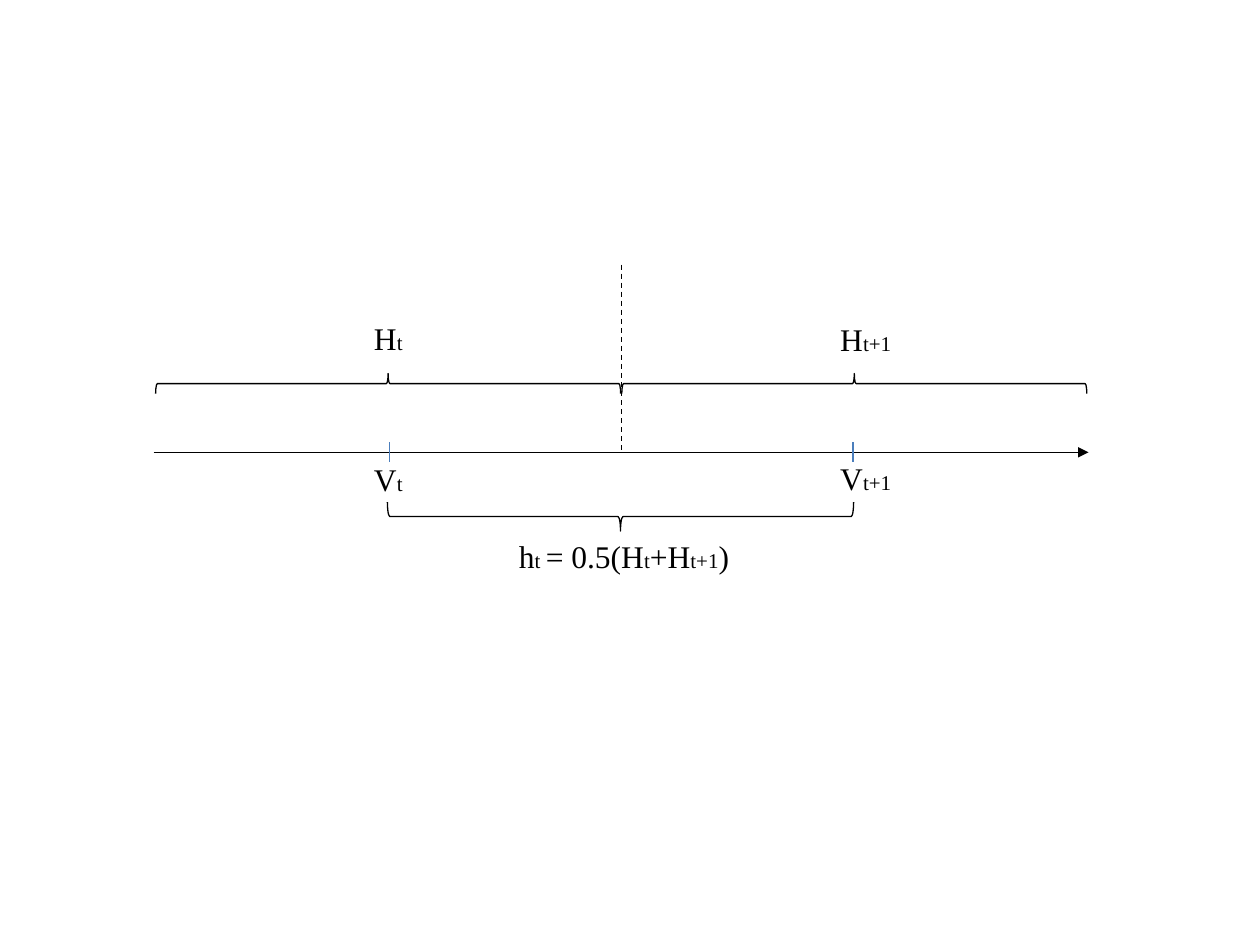
from typing import NamedTuple

from lxml.etree import SubElement
from pptx import Presentation
from pptx.dml.color import RGBColor
from pptx.enum.dml import MSO_LINE_DASH_STYLE as Dash
from pptx.enum.shapes import MSO_CONNECTOR as Connector, MSO_SHAPE as Shape
from pptx.enum.text import MSO_AUTO_SIZE as AutoSize
from pptx.oxml.ns import qn
from pptx.util import Inches, Pt

COLORS = {"ink": "000000", "tick": "4B7EBC"}
FONT = "Times New Roman"
LARGE, SMALL = 18, 12
AXIS_Y = 3.59
TICK_HALF = 0.08


class Line(NamedTuple):
    x1: float
    y1: float
    x2: float
    y2: float
    color: str = "ink"
    dashed: bool = False
    arrow: bool = False


class Brace(NamedTuple):
    left: float
    top: float
    width: float
    height: float
    rotation: int


class Label(NamedTuple):
    left: float
    top: float
    width: float
    texts: tuple[str, ...]


LINES = [
    Line(1.22, AXIS_Y, 8.64, AXIS_Y, arrow=True),
    Line(4.93, 2.1, 4.93, AXIS_Y, dashed=True),
    *(Line(x, AXIS_Y - TICK_HALF, x, AXIS_Y + TICK_HALF, "tick") for x in (3.09, 6.77)),
]
BRACES = [
    Brace(3, 1.2, 0.16, 3.69, 90),
    Brace(6.7, 1.2, 0.16, 3.69, 90),
    Brace(4.81, 2.25, 0.23, 3.7, 270),
]
LABELS = [
    Label(2.87, 2.48, 0.43, ("H", "t")),
    Label(6.57, 2.49, 0.61, ("H", "t+1")),
    Label(6.57, 3.59, 0.61, ("V", "t+1")),
    Label(2.87, 3.6, 0.43, ("V", "t")),
    Label(4.02, 4.21, 1.89, ("h", "t ", "= 0.5(H", "t", "+H", "t+1", ")")),
]


def rgb(name: str) -> RGBColor:
    return RGBColor.from_string(COLORS[name])


def draw_line(page, line: Line) -> None:
    ends = (Inches(v) for v in (line.x1, line.y1, line.x2, line.y2))
    connector = page.shapes.add_connector(Connector.STRAIGHT, *ends)
    connector.line.color.rgb = rgb(line.color)
    connector.line.width = Pt(0.75)
    if line.dashed:
        connector.line.dash_style = Dash.DASH
    properties = connector._element.spPr
    if line.arrow:
        SubElement(properties.find(qn("a:ln")), qn("a:tailEnd"), type="triangle")
    SubElement(properties, qn("a:effectLst"))


def draw_brace(page, brace: Brace) -> None:
    shape = page.shapes.add_shape(Shape.LEFT_BRACE, *(Inches(v) for v in brace[:4]))
    shape.rotation = brace.rotation
    shape.shadow.inherit = False
    shape.fill.background()
    shape.line.color.rgb = rgb("ink")
    shape.line.width = Pt(0.75)


def draw_label(page, label: Label) -> None:
    box = page.shapes.add_textbox(
        Inches(label.left), Inches(label.top), Inches(label.width), Inches(0.4)
    )
    frame = box.text_frame
    frame.word_wrap = False
    frame.auto_size = AutoSize.SHAPE_TO_FIT_TEXT
    para = frame.paragraphs[0]
    para.font.name = FONT
    para.font.color.rgb = rgb("ink")
    for index, text in enumerate(label.texts):
        span = para.add_run()
        span.text = text
        span.font.size = Pt(SMALL if index % 2 else LARGE)


def main() -> None:
    deck = Presentation()
    deck.slide_width, deck.slide_height = Inches(10), Inches(7.5)
    page = deck.slides.add_slide(deck.slide_layouts[6])
    for line in LINES:
        draw_line(page, line)
    for brace in BRACES:
        draw_brace(page, brace)
    for label in LABELS:
        draw_label(page, label)
    deck.save("out.pptx")


main()
